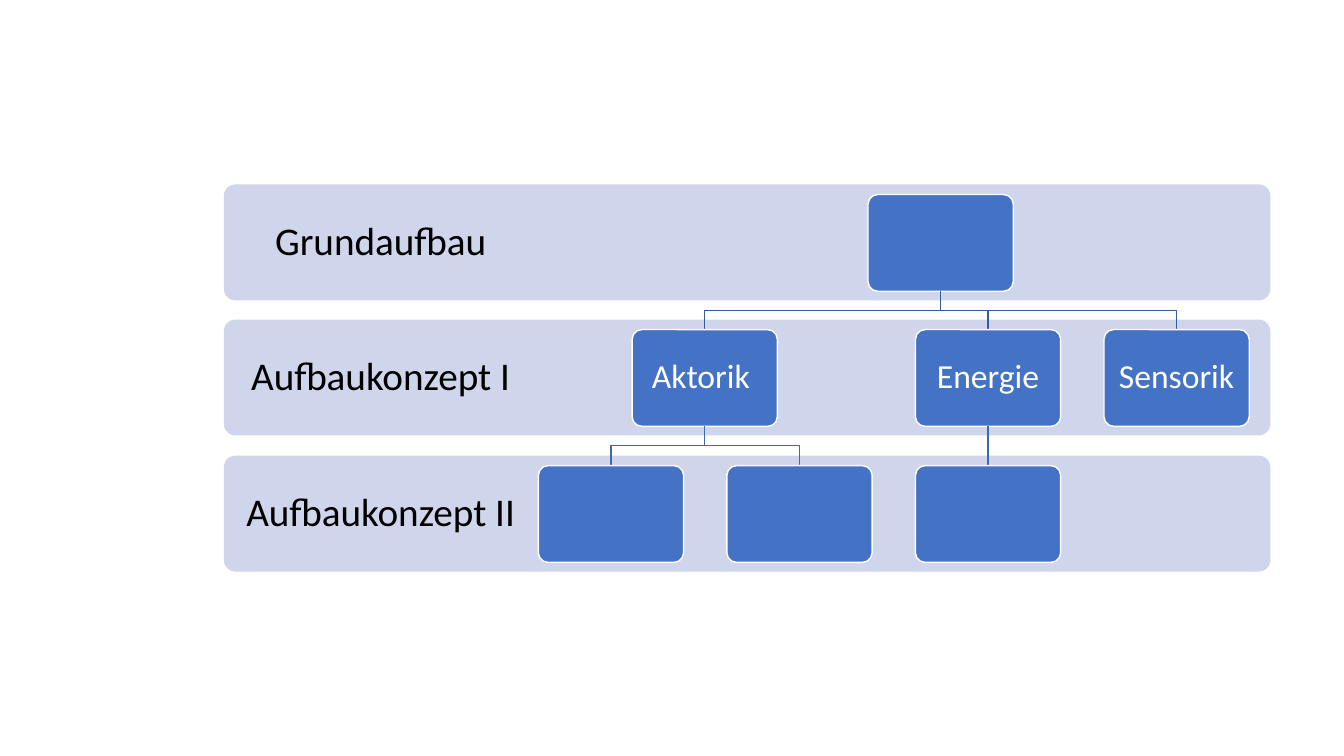
from lxml.etree import SubElement
from pptx import Presentation
from pptx.dml.color import RGBColor
from pptx.enum.shapes import MSO_CONNECTOR, MSO_SHAPE
from pptx.enum.text import MSO_ANCHOR, PP_ALIGN
from pptx.oxml.ns import qn
from pptx.util import Emu, Pt

SCALE = 9144
BAND_LEFT, BAND_TOP, BAND_WIDTH, BAND_HEIGHT = 222, 183, 1038, 115
LABEL_WIDTH = 311
BOX_WIDTH, BOX_HEIGHT, BOX_MARGIN = 144, 96, 10
FIRST_CENTER = 606
BAND_LABELS = ["Grundaufbau", "Aufbaukonzept I", "Aufbaukonzept II"]
LINK_COLORS = ["365B9D", "3E67B2"]
TREE = ("", 3.5, [
    ("Aktorik ", 1, [("", 0, []), ("", 2, [])]),
    ("Energie", 4, [("", 4, [])]),
    ("Sensorik", 6, []),
])


def px(length):
    """Turn whole px, 100 to the inch, into EMU."""
    return Emu(length * SCALE)


def color(value):
    """Turn a hex string into a colour."""
    return RGBColor.from_string(value)


def band_top(row):
    """Give the top of a band, the bands being 134.5 px apart."""
    return BAND_TOP + row * 269 // 2


def box_center(slot):
    """Give the middle of a box, the slots being 93.5 px apart."""
    return int(FIRST_CENTER + slot * 93.5)


class HierarchySlide:
    """Draw the elements of a banded hierarchy in one style."""

    font = "Calibri"
    band_fill, box_fill = "CFD5EA", "4472C4"
    black, white = "000000", "FFFFFF"

    def __init__(self, presentation):
        """Add the blank slide to draw on."""
        self.slide = presentation.slides.add_slide(presentation.slide_layouts[6])

    def text(self, shape, words, size, hex_color, inset):
        """Write one centred line into a shape."""
        frame = shape.text_frame
        frame_format = {"word_wrap": True, "vertical_anchor": MSO_ANCHOR.MIDDLE}
        for side in ("left", "top", "right", "bottom"):
            frame_format[f"margin_{side}"] = px(inset)
        paragraph = frame.paragraphs[0]
        run = paragraph.add_run()
        formats = [
            (frame, frame_format),
            (paragraph, {"alignment": PP_ALIGN.CENTER, "line_spacing": 0.9}),
            (run, {"text": words}),
            (run.font, {"name": self.font, "size": Pt(size)}),
        ]
        for target, values in formats:
            for name, value in values.items():
                setattr(target, name, value)
        run.font.color.rgb = color(hex_color)

    def rounded(self, left, top, width, height, fill):
        """Add a plain rounded rectangle without an outline."""
        shape = self.slide.shapes.add_shape(
            MSO_SHAPE.ROUNDED_RECTANGLE, px(left), px(top), px(width), px(height))
        shape.adjustments[0] = 0.1
        shape.shadow.inherit = False
        shape.fill.solid()
        shape.fill.fore_color.rgb = color(fill)
        shape.line.fill.background()
        return shape

    def outline(self, shape, hex_color):
        """Give a shape or connector a one point line."""
        shape.line.color.rgb = color(hex_color)
        shape.line.width = Pt(1)

    def band(self, row, label):
        """Add one level band and its label."""
        top = band_top(row)
        self.rounded(BAND_LEFT, top, BAND_WIDTH, BAND_HEIGHT, self.band_fill)
        box = self.slide.shapes.add_textbox(
            px(BAND_LEFT), px(top), px(LABEL_WIDTH), px(BAND_HEIGHT))
        self.text(box, label, 28, self.black, 22)

    def box(self, row, slot, words):
        """Add one box of the tree."""
        left = box_center(slot) - BOX_WIDTH // 2
        shape = self.rounded(
            left, band_top(row) + BOX_MARGIN, BOX_WIDTH, BOX_HEIGHT, self.box_fill)
        self.outline(shape, self.white)
        if words:
            self.text(shape, words, 24, self.white, 10)

    def link(self, row, slot, child_slot):
        """Join a box to a child in the next band."""
        start, end = box_center(slot), box_center(child_slot)
        top = band_top(row) + BOX_MARGIN + BOX_HEIGHT
        bottom = band_top(row + 1) + BOX_MARGIN
        if start == end:
            line = self.slide.shapes.add_connector(
                MSO_CONNECTOR.STRAIGHT, px(start), px(top), px(end), px(bottom))
            self.outline(line, LINK_COLORS[row])
            SubElement(line._element.spPr, qn("a:effectLst"))
            return
        middle = (top + bottom) // 2
        builder = self.slide.shapes.build_freeform(start, top, scale=SCALE)
        builder.add_line_segments(
            [(start, middle), (end, middle), (end, bottom)], close=False)
        line = builder.convert_to_shape()
        line.shadow.inherit = False
        line.fill.background()
        self.outline(line, LINK_COLORS[row])

    def branch(self, node, row=0):
        """Add a box with everything below it."""
        words, slot, children = node
        self.box(row, slot, words)
        for child in children:
            self.link(row, slot, child[1])
            self.branch(child, row + 1)


def main():
    """Build and save the presentation."""
    presentation = Presentation()
    presentation.slide_width, presentation.slide_height = px(1333), px(750)
    hierarchy = HierarchySlide(presentation)
    for row, label in reversed(list(enumerate(BAND_LABELS))):
        hierarchy.band(row, label)
    hierarchy.branch(TREE)
    presentation.save("out.pptx")


if __name__ == "__main__":
    main()
